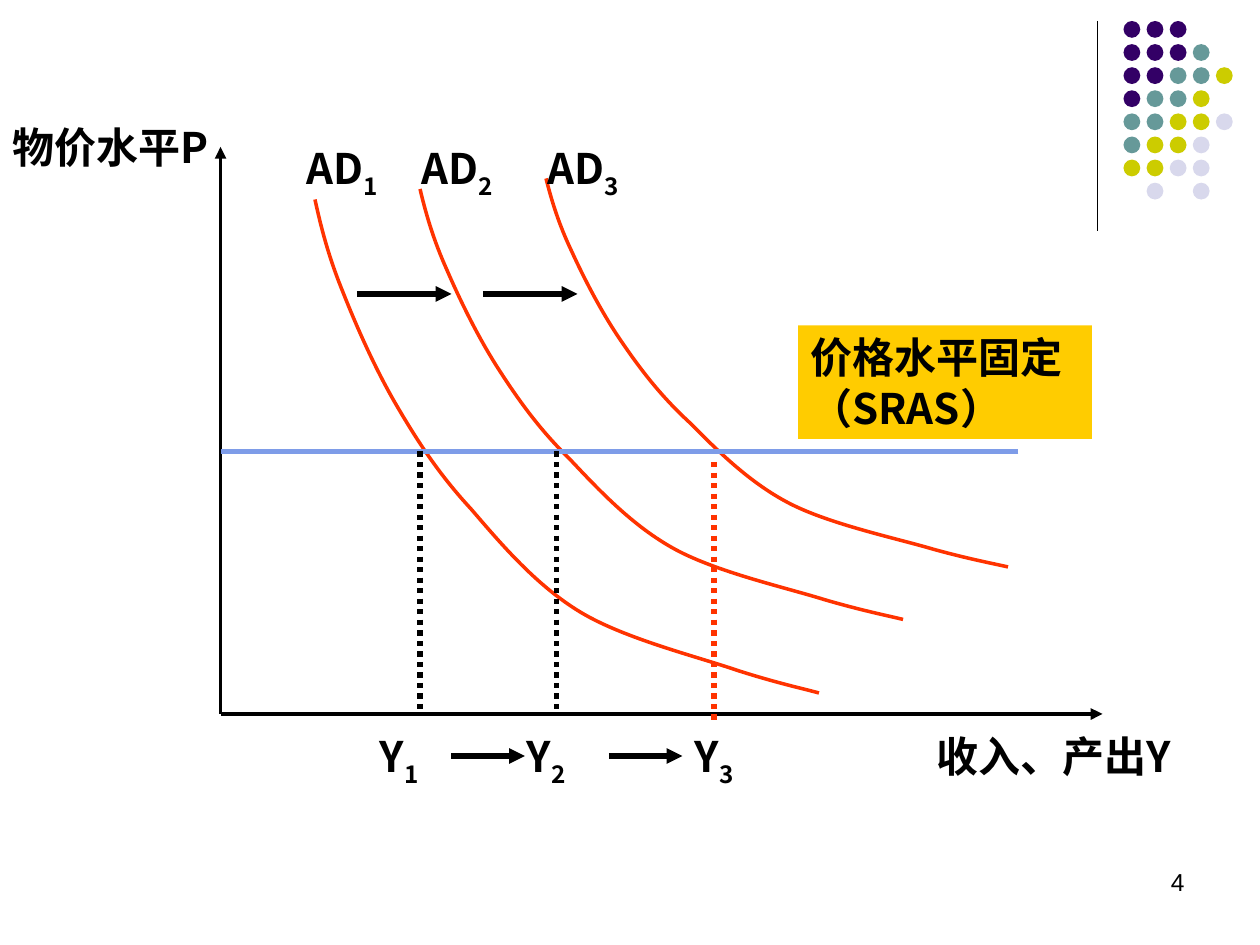
from lxml.etree import SubElement
from pptx import Presentation
from pptx.dml.color import RGBColor
from pptx.enum.dml import MSO_LINE
from pptx.enum.shapes import MSO_CONNECTOR, MSO_SHAPE
from pptx.enum.text import MSO_AUTO_SIZE, PP_ALIGN
from pptx.oxml.ns import qn
from pptx.util import Pt

PX = 7620  # EMU per px, 120 px to the inch
BLACK = RGBColor(0x00, 0x00, 0x00)
RED = RGBColor(0xFF, 0x33, 0x00)
BLUE = RGBColor(0x7E, 0x9C, 0xE8)
GOLD = RGBColor(0xFF, 0xCC, 0x00)
PURPLE = RGBColor(0x33, 0x00, 0x66)
TEAL = RGBColor(0x66, 0x99, 0x99)
OLIVE = RGBColor(0xCC, 0xCC, 0x00)
LILAC = RGBColor(0xD8, 0xD8, 0xEC)
SANS = "Noto Sans CJK SC"

prs = Presentation()
prs.slide_width, prs.slide_height = 1200 * PX, 900 * PX
shapes = prs.slides.add_slide(prs.slide_layouts[6]).shapes


def add_line(x1, y1, x2, y2, color, width, arrow=False, dots=False):
    line = shapes.add_connector(MSO_CONNECTOR.STRAIGHT, x1 * PX, y1 * PX, x2 * PX, y2 * PX)
    line.line.color.rgb = color
    line.line.width = Pt(width)
    if dots:
        line.line.dash_style = MSO_LINE.ROUND_DOT
    if arrow:
        SubElement(line.line._get_or_add_ln(), qn("a:tailEnd"), type="triangle")
    SubElement(line._element.spPr, qn("a:effectLst"))


def add_label(x, y, w, h, text, sub="", size=24, face=SANS, bold=True):
    """Add a text box, with an optional subscript, and return it."""
    box = shapes.add_textbox(x * PX, y * PX, w * PX, h * PX)
    frame = box.text_frame
    frame.word_wrap = True
    frame.auto_size = MSO_AUTO_SIZE.SHAPE_TO_FIT_TEXT
    para = frame.paragraphs[0]
    para.font.size, para.font.bold, para.font.name = Pt(size), bold, face
    para.font.color.rgb = BLACK
    SubElement(para._p.pPr.find(qn("a:defRPr")), qn("a:ea"), typeface=face)
    para.add_run().text = text
    if sub:
        run = para.add_run()
        run.text = sub
        run._r.get_or_add_rPr().set("baseline", "-25000")
    return box


# Corner ornament
add_line(1045, 20, 1045, 220, BLACK, 0.75)
TINTS = {"P": PURPLE, "T": TEAL, "O": OLIVE, "L": LILAC}
ROWS = ["PPP", "PPPT", "PPTTO", "PTTO", "TTOOL", "TOOL", "OOLL", " L L"]
for row, codes in enumerate(ROWS):
    for col, code in enumerate(codes):
        if code in TINTS:
            dot = shapes.add_shape(MSO_SHAPE.OVAL, (1070 + 22 * col) * PX,
                                   (20 + 22 * row) * PX, 16 * PX, 16 * PX)
            dot.fill.solid()
            dot.fill.fore_color.rgb = TINTS[code]
            dot.line.fill.background()
            dot.shadow.inherit = False

# Axes
add_line(210, 680, 210, 140, BLACK, 2.25, arrow=True)
add_line(210, 680, 1050, 680, BLACK, 2.25, arrow=True)
add_label(0, 110, 260, 60, "物价水平P")
add_label(880, 690, 260, 60, "收入、产出Y")

# Fixed price level
sras = add_label(760, 310, 280, 108, "价格水平固定（SRAS）")
sras.fill.solid()
sras.fill.fore_color.rgb = GOLD

# Demand curves: one chain of cubic Beziers, drawn in a 400 by 392 frame
CHAIN = [(0, 0), (5, 23), (11, 46), (22, 73), (33, 101), (48, 135), (65, 164),
         (82, 193), (99, 219), (124, 246), (148, 274), (176, 307), (211, 328),
         (246, 349), (303, 363), (335, 374), (366, 384), (389, 389), (400, 392)]
for x, y, w, h in [(400, 180, 460, 410), (520, 170, 440, 370), (300, 190, 480, 470)]:
    pen = shapes.build_freeform(x * PX, y * PX)
    pen.add_line_segments([(round((x + u * w / 400) * PX), round((y + v * h / 392) * PX))
                           for u, v in CHAIN[1:]], close=False)
    demand = pen.convert_to_shape()
    demand.fill.background()
    demand.line.color.rgb = RED
    demand.line.width = Pt(2)
    demand.shadow.inherit = False
    # Join every three straight segments into one Bezier
    trace = demand._element.find(".//" + qn("a:path"))
    legs = trace.findall(qn("a:lnTo"))
    for i in range(0, len(legs), 3):
        bend = SubElement(trace, qn("a:cubicBezTo"))
        for leg in legs[i:i + 3]:
            bend.append(leg[0])
            trace.remove(leg)

add_line(970, 430, 210, 430, BLUE, 3)

# Shifts of demand and of output
for x, y, w in [(340, 280, 90), (460, 280, 90), (430, 720, 70), (580, 720, 70)]:
    add_line(x, y, x + w, y, BLACK, 3, arrow=True)

# Drop lines to each output level
for x, top, foot, color in [(400, 430, 680, BLACK), (530, 430, 680, BLACK), (680, 440, 690, RED)]:
    add_line(x, top, x, foot, color, 3, dots=True)

# Numbered labels
for name, y, lefts in [("AD", 130, (280, 390, 510)), ("Y", 690, (350, 490, 650))]:
    for num, x in enumerate(lefts, 1):
        add_label(x, y, 110, 67, name, str(num))

page = add_label(860, 820, 280, 62, "4", size=14, face="Arial", bold=False)
page.text_frame.auto_size = MSO_AUTO_SIZE.NONE
page.text_frame.paragraphs[0].alignment = PP_ALIGN.RIGHT

prs.save("out.pptx")
